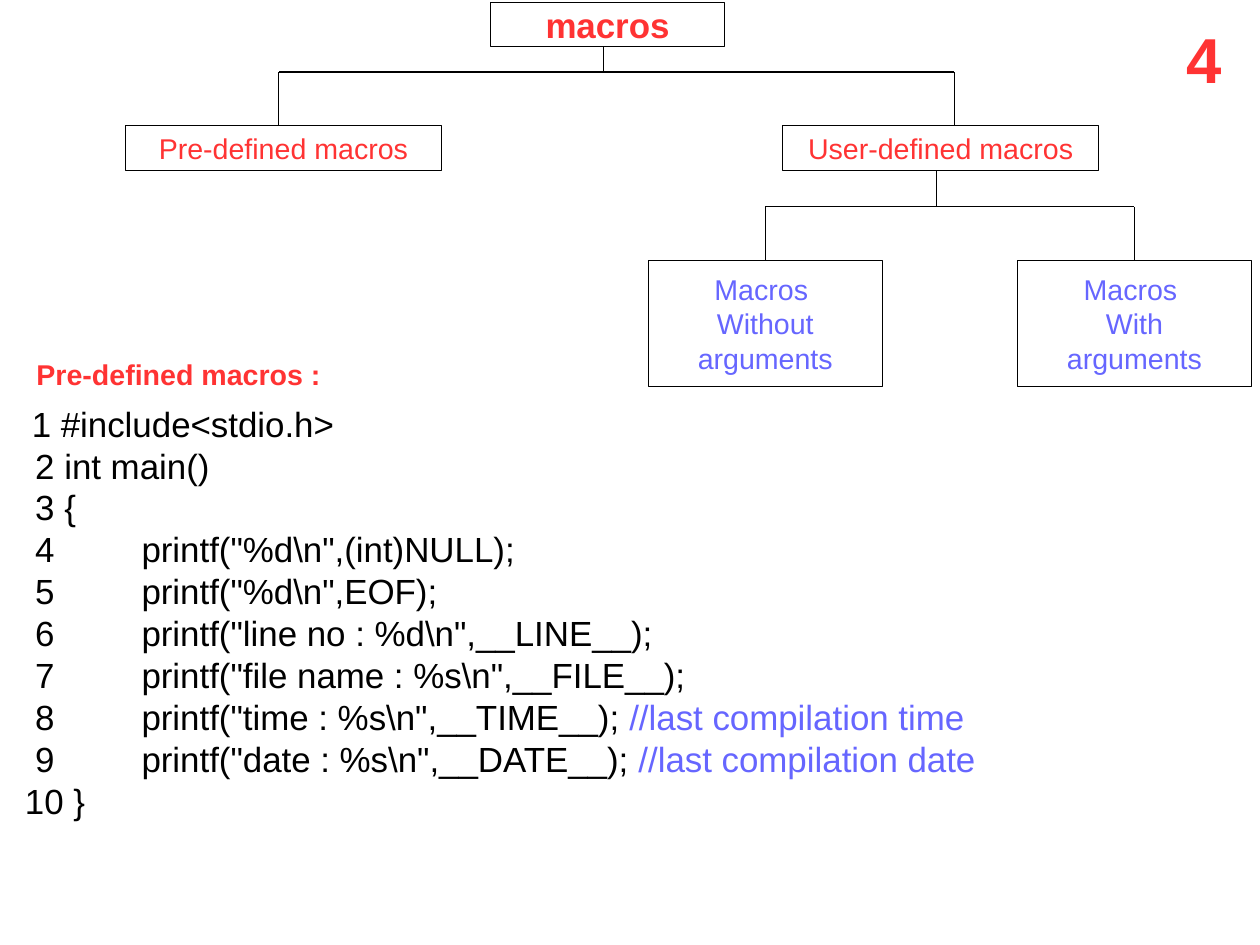
from dataclasses import dataclass

from lxml import etree
from pptx import Presentation
from pptx.dml.color import RGBColor
from pptx.enum.shapes import MSO_CONNECTOR, MSO_SHAPE
from pptx.enum.text import MSO_ANCHOR, PP_ALIGN
from pptx.oxml.ns import qn
from pptx.util import Inches, Pt

RECT = MSO_SHAPE.RECTANGLE
LINE = MSO_CONNECTOR.STRAIGHT
MIDDLE = MSO_ANCHOR.MIDDLE
CENTER = PP_ALIGN.CENTER
TOP = 0


@dataclass(frozen=True)
class Theme:
    """Colours, font and type sizes of the slide."""
    font: str = "Arial"
    red: RGBColor = RGBColor(0xFF, 0x33, 0x33)
    blue: RGBColor = RGBColor(0x66, 0x66, 0xFF)
    black: RGBColor = RGBColor(0, 0, 0)
    white: RGBColor = RGBColor(0xFF, 0xFF, 0xFF)
    body: int = 18
    code: int = 22
    page: int = 40
    rule: float = 0.75


THEME = Theme()

CODE = [
    ("#include<stdio.h>", ""),
    ("int main()", ""),
    ("{", ""),
    (r'printf("%d\n",(int)NULL);', ""),
    (r'printf("%d\n",EOF);', ""),
    (r'printf("line no : %d\n",__LINE__);', ""),
    (r'printf("file name : %s\n",__FILE__);', ""),
    (r'printf("time : %s\n",__TIME__); ', "//last compilation time"),
    (r'printf("date : %s\n",__DATE__); ', "//last compilation date"),
    ("}", ""),
]


def style(run, size, color, bold=False):
    """Set the font of one run."""
    run.font.name = THEME.font
    run.font.size = Pt(size)
    run.font.bold = bold
    run.font.color.rgb = color


def node(slide, box, text, color, size=THEME.body, bold=False):
    """Draw one outlined box of the tree with centred text."""
    shape = slide.shapes.add_shape(RECT, *map(Inches, box))
    shape.shadow.inherit = False
    shape.fill.solid()
    shape.fill.fore_color.rgb = THEME.white
    shape.line.color.rgb = THEME.black
    shape.line.width = Pt(THEME.rule)
    frame = shape.text_frame
    frame.word_wrap = False
    frame.vertical_anchor = MIDDLE
    frame.text = text
    for para in frame.paragraphs:
        para.alignment = CENTER
        for run in para.runs:
            style(run, size, color, bold)
    return shape


def rule(slide, start, end):
    """Draw one thin straight connector."""
    line = slide.shapes.add_connector(LINE, *map(Inches, (*start, *end)))
    line.line.color.rgb = THEME.black
    line.line.width = Pt(THEME.rule)
    etree.SubElement(line._element.spPr, qn("a:effectLst"))
    return line


def fork(slide, x, top, bar, foot, ends):
    """Draw a stem, a crossbar and a drop to each end; return the drops."""
    rule(slide, (x, top), (x, bar))
    drops = []
    for end in ends:
        rule(slide, (x, bar), (end, bar))
        drops.append(rule(slide, (end, bar), (end, foot)))
    return drops


def tree(slide, box):
    """Draw the tree of macro kinds inside the box."""
    left, top, width, height = box
    right = left + width
    wide, slim, low, tall = 2.76, 2.05, 0.39, 1.1
    kinds = top + 1.08
    leaf = top + height - tall
    user = left + 5.75
    node(slide, (left, kinds, wide, low), "Pre-defined macros", THEME.red)
    node(slide, (user, kinds, wide, low), "User-defined macros", THEME.red)
    node(slide, (left + 3.19, top, slim, low), "macros", THEME.red, THEME.code, True)
    fork(slide, left + 4.18, top + low, top + 0.61, kinds, (left + 1.34, left + 7.25))

    spots = (right - slim - 3.23, right - slim)
    leaves = [node(slide, (x, leaf, slim, tall), f"Macros \n{word}\narguments", THEME.blue)
              for x, word in zip(spots, ("Without", "With"))]
    drops = fork(slide, user + 1.34, kinds + low, top + 1.79, leaf,
                 [x + slim / 2 for x in spots])
    for drop, shape in zip(drops, leaves):
        drop.end_connect(shape, TOP)


def label(slide, box, text, size):
    """Place one bold red line of text in the box."""
    frame = slide.shapes.add_textbox(*map(Inches, box)).text_frame
    frame.word_wrap = True
    frame.text = text
    style(frame.paragraphs[0].runs[0], size, THEME.red, True)


def listing(slide, box):
    """Place the numbered program in the box."""
    frame = slide.shapes.add_textbox(*map(Inches, box)).text_frame
    frame.word_wrap = True
    start, body = 0.17, 1.1
    shifts = {1: 0.14, len(CODE): 0.08}
    for number, (code, note) in enumerate(CODE, 1):
        para = frame.paragraphs[0] if number == 1 else frame.add_paragraph()
        inner = code.startswith("printf")
        first = shifts.get(number, start)
        margin = body if inner else first
        props = para._p.get_or_add_pPr()
        props.set("marL", str(Inches(margin)))
        props.set("indent", str(Inches(first - margin)))
        gap = "\t" if inner else " "
        for text, color in ((f"{number}{gap}{code}", THEME.black), (note, THEME.blue)):
            if text:
                run = para.add_run()
                run.text = text
                style(run, THEME.code, color)


def main():
    """Build the slide and save it."""
    deck = Presentation()
    deck.slide_width = Inches(28 / 2.54)
    deck.slide_height = Inches(21 / 2.54)
    slide = deck.slides.add_slide(deck.slide_layouts[6])
    tree(slide, (1.1, 0.02, 9.85, 3.36))
    label(slide, (10.28, 0.13, 0.51, 0.72), "4", THEME.page)
    listing(slide, (0.04, 3.47, 10.67, 3.52))
    label(slide, (0.22, 3.07, 2.82, 0.38), "Pre-defined macros :", THEME.body)
    deck.save("out.pptx")


if __name__ == "__main__":
    main()
